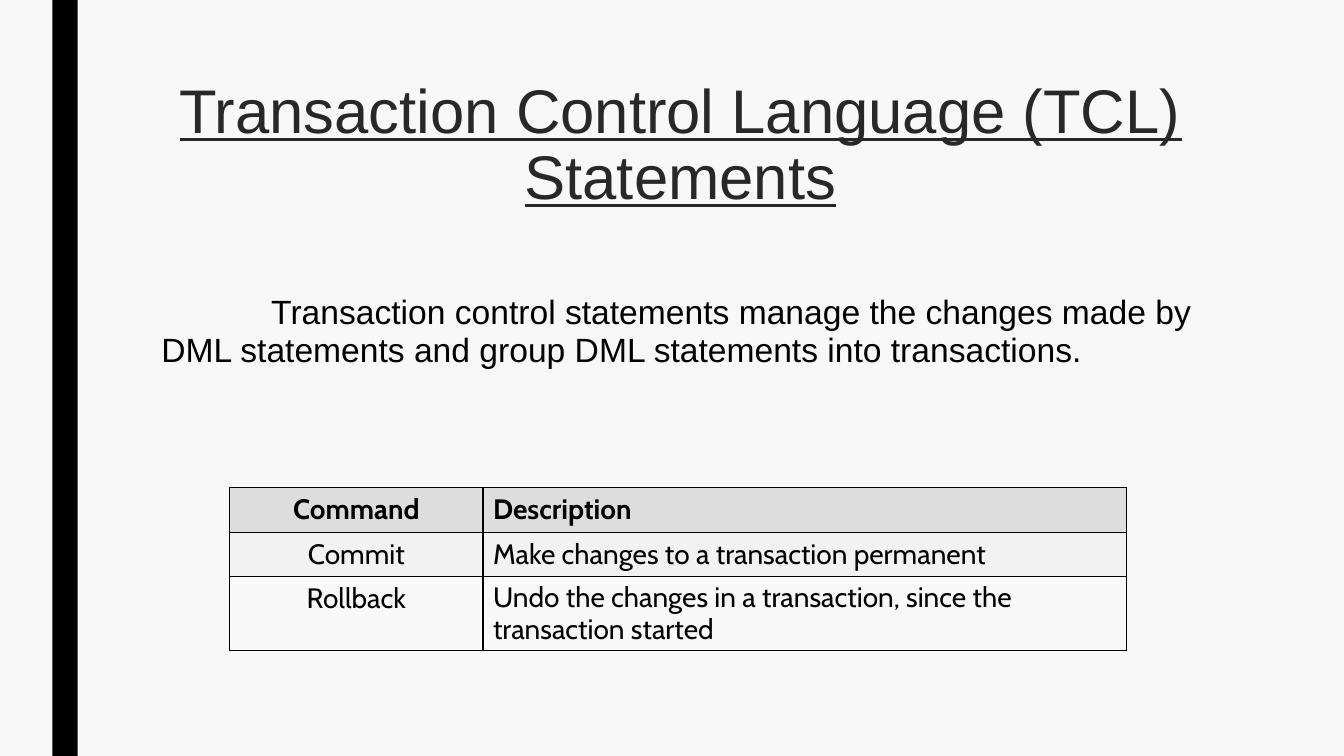
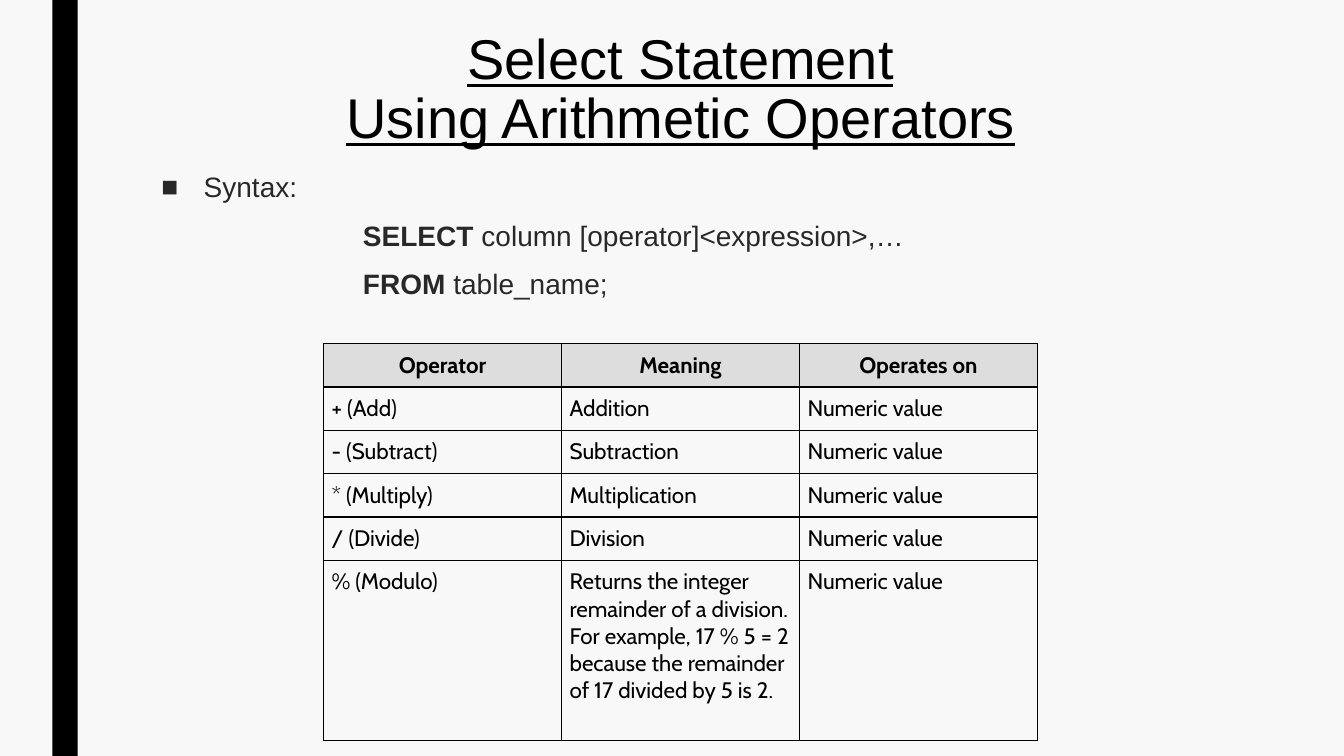
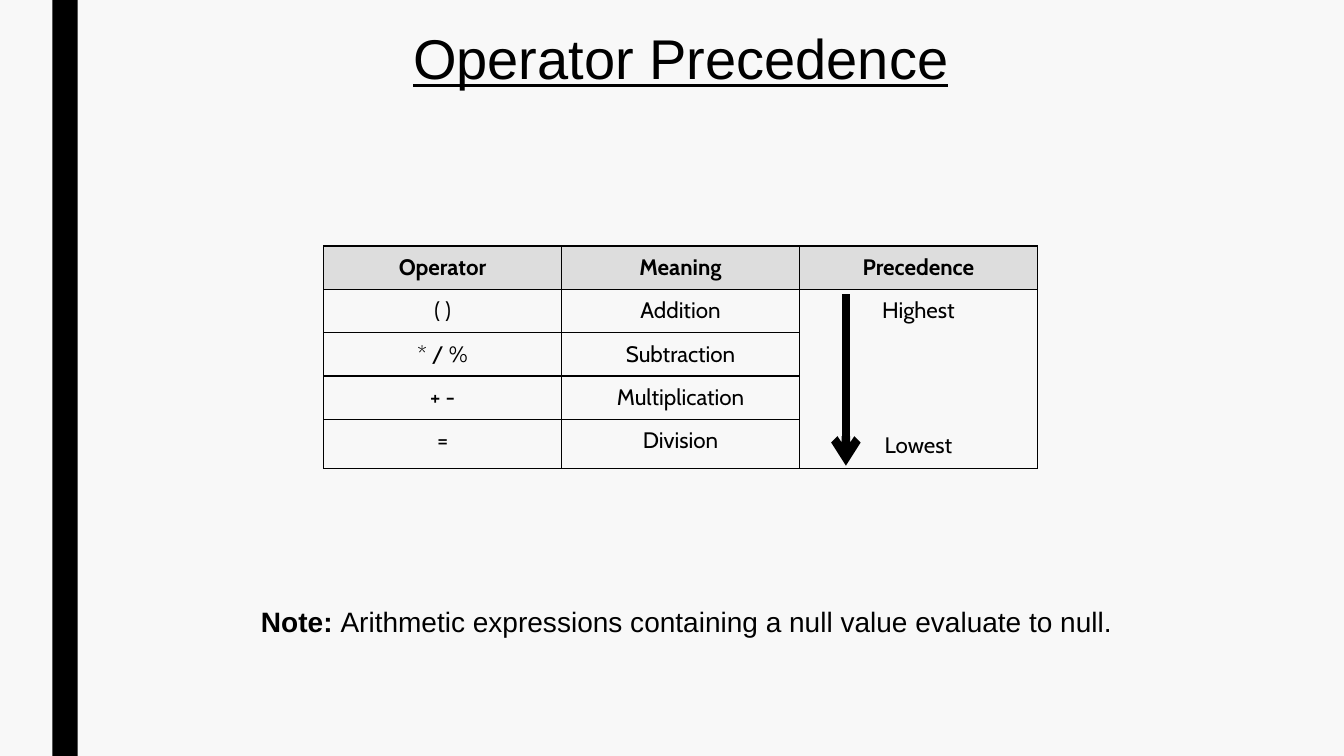
from lxml import etree
from pptx import Presentation
from pptx.dml.color import RGBColor
from pptx.enum.shapes import MSO_CONNECTOR, MSO_SHAPE
from pptx.enum.text import MSO_ANCHOR, MSO_AUTO_SIZE, PP_ALIGN
from pptx.oxml.ns import qn
from pptx.util import Inches, Pt

CENTER, LEFT = PP_ALIGN.CENTER, PP_ALIGN.LEFT
TOP, NO_FIT = MSO_ANCHOR.TOP, MSO_AUTO_SIZE.NONE
RECTANGLE, STRAIGHT = MSO_SHAPE.RECTANGLE, MSO_CONNECTOR.STRAIGHT

PAPER, BLACK, GRAY = "F8F8F8", "000000", "282829"
HEADER_FILL = "DDDDDD"
TEXT_FONT, TABLE_FONT = "Arial", "Cabin"
TITLE_SPACING, BODY_SPACING = 0.89, 0.94
CONTENT_LEFT, CONTENT_WIDTH = 1.5, 10.5
CELL_INSET = 0.08
OPERATOR_LEFT, OPERATOR_COLUMNS, ROW = 3.21, [2.36] * 3, 0.43

COMMANDS = [
    ("Command", "Description"),
    ("Commit", "Make changes to a transaction permanent"),
    ("Rollback", "Undo the changes in a transaction, since the transaction started"),
]
OPERATORS = [
    ("Operator", "Meaning", "Operates on"),
    ("+ (Add)", "Addition", "Numeric value"),
    ("- (Subtract)", "Subtraction", "Numeric value"),
    ("* (Multiply)", "Multiplication", "Numeric value"),
    ("/ (Divide)", "Division", "Numeric value"),
    ("% (Modulo)",
     "Returns the integer remainder of a division. For example, 17 % 5 = 2 "
     "because the remainder of 17 divided by 5 is 2.", "Numeric value"),
]
PRECEDENCE = [
    ("Operator", "Meaning", "Precedence"),
    ("( )", "Addition", "Highest"),
    ("* / %", "Subtraction", ""),
    ("+ -", "Multiplication", ""),
    ("=", "Division", ""),
]
TRANSACTION_TEXT = ("Transaction control statements manage the changes made by DML "
                    "statements and group DML statements into transactions.")
# Each line: spans as (text, bold), left margin, first-line indent, bullet
TRANSACTION_BODY = [([(TRANSACTION_TEXT, False)], 0, 1.09, None)]
SYNTAX_BODY = [
    ([("Syntax:", False)], 0.42, -0.42, "■"),
    ([("SELECT ", True), ("column [operator]<expression>,…", False)], 2, 0, None),
    ([("FROM ", True), ("table_name;", False)], 2, 0, None),
]
NOTE = [("Note: ", True),
        ("Arithmetic expressions containing a null value evaluate to null.", False)]


def rgb(value):
    return RGBColor.from_string(value)


def inches(*lengths):
    return [Inches(length) for length in lengths]


def style_font(font, name, size, color, bold=False):
    font.name, font.size, font.bold = name, Pt(size), bold
    font.color.rgb = rgb(color)


def add_spans(para, spans, name, size, color):
    for text, bold in spans:
        span = para.add_run()
        span.text = text
        style_font(span.font, name, size, color, bold)


def set_spacing(para):
    para.line_spacing = BODY_SPACING
    para.space_before, para.space_after = Pt(10), Pt(2)


def place(shape, left, top, width, height):
    shape.left, shape.top, shape.width, shape.height = inches(left, top, width, height)


def prepare_frame(frame):
    frame.word_wrap, frame.auto_size, frame.vertical_anchor = True, NO_FIT, TOP


def add_slide(deck, layout, title, top=0.26, size=40, color=BLACK):
    page = deck.slides.add_slide(deck.slide_layouts.get_by_name(layout))
    box = page.shapes.title
    place(box, CONTENT_LEFT, top, CONTENT_WIDTH, 1.62)
    prepare_frame(box.text_frame)
    para = box.text_frame.paragraphs[0]
    para.text = title
    para.alignment, para.line_spacing = CENTER, TITLE_SPACING
    for span in para.runs:
        style_font(span.font, TEXT_FONT, size, color)
        span.font.underline = True
    return page


def fill_body(page, lines, top, height, size, color):
    box = page.placeholders[1]
    place(box, CONTENT_LEFT, top, CONTENT_WIDTH, height)
    frame = box.text_frame
    prepare_frame(frame)
    for index, (spans, margin, indent, bullet) in enumerate(lines):
        para = frame.add_paragraph() if index else frame.paragraphs[0]
        add_spans(para, spans, TEXT_FONT, size, color)
        set_spacing(para)
        properties = para._p.get_or_add_pPr()
        properties.set("marL", str(Inches(margin)))
        properties.set("indent", str(Inches(indent)))
        if bullet:
            etree.SubElement(properties, qn("a:buChar")).set("char", bullet)
        else:
            etree.SubElement(properties, qn("a:buNone"))


def add_borders(cell):
    properties = cell._tc.get_or_add_tcPr()
    for index, side in enumerate(("lnL", "lnR", "lnT", "lnB")):
        line = etree.Element(qn("a:" + side), w=str(Pt(1)))
        fill = etree.SubElement(line, qn("a:solidFill"))
        etree.SubElement(fill, qn("a:srgbClr")).set("val", BLACK)
        properties.insert(index, line)


def add_grid(page, rows, left, top, widths, heights, size, alignments, header_alignments,
             fills=(), inset=None):
    """Add a bordered table; fills colours the rows below the header, if given."""
    frame = page.shapes.add_table(len(rows), len(widths),
                                  *inches(left, top, sum(widths), sum(heights)))
    table = frame.table
    table.first_row = table.horz_banding = False
    for column, width in zip(table.columns, widths):
        column.width = Inches(width)
    for row_index, texts in enumerate(rows):
        table.rows[row_index].height = Inches(heights[row_index])
        header = row_index == 0
        for column_index, text in enumerate(texts):
            cell = table.cell(row_index, column_index)
            if header or fills:
                cell.fill.solid()
                cell.fill.fore_color.rgb = rgb(HEADER_FILL if header else fills[row_index - 1])
            else:
                cell.fill.background()
            add_borders(cell)
            if inset is not None:
                cell.margin_left = cell.margin_right = Inches(inset)
                cell.margin_top = cell.margin_bottom = Inches(inset)
            if text:
                para = cell.text_frame.paragraphs[0]
                para.alignment = (header_alignments if header else alignments)[column_index]
                add_spans(para, [(text, header)], TABLE_FONT, size, BLACK)
    return table


def add_operator_grid(page, rows, top, last_height, alignment):
    heights = [ROW] * (len(rows) - 1) + [last_height]
    return add_grid(page, rows, OPERATOR_LEFT, top, OPERATOR_COLUMNS, heights, 16,
                    [alignment] * 3, [CENTER] * 3, inset=CELL_INSET)


def add_down_arrow(page, x, top, bottom):
    arrow = page.shapes.add_connector(STRAIGHT, *inches(x, top, x, bottom))
    arrow.line.color.rgb = rgb(BLACK)
    arrow.line.width = Pt(6)
    etree.SubElement(arrow.line._get_or_add_ln(), qn("a:tailEnd")).set("type", "arrow")
    etree.SubElement(arrow.element.spPr, qn("a:effectLst"))


def style_master(deck, page):
    """Set the shared background and move the black band to the master."""
    master = deck.slide_master
    master.background.fill.solid()
    master.background.fill.fore_color.rgb = rgb(PAPER)
    band = page.shapes.add_shape(RECTANGLE, *inches(0.52, 0, 0.25, 7.5))
    band.shadow.inherit = False
    band.fill.solid()
    band.fill.fore_color.rgb = rgb(BLACK)
    band.line.fill.background()
    master.shapes.element.insert(2, band.element)


def build_transactions(deck):
    page = add_slide(deck, "Title and Content",
                     "Transaction Control Language (TCL)\vStatements", 0.75, 44, GRAY)
    fill_body(page, TRANSACTION_BODY, 2.87, 1.48, 24, BLACK)
    table = add_grid(page, COMMANDS, 2.28, 4.84, [2.51, 6.38], [0.43, 0.43, 0.73], 20,
                     [CENTER, LEFT], [CENTER, LEFT], fills=["F2F2F2", "F9F9F9"])
    set_spacing(table.cell(2, 1).text_frame.paragraphs[0])
    return page


def build_arithmetic(deck):
    page = add_slide(deck, "Title and Content",
                     "Select Statement\vUsing Arithmetic Operators")
    fill_body(page, SYNTAX_BODY, 1.66, 1.53, 20, GRAY)
    add_operator_grid(page, OPERATORS, 3.41, 1.79, LEFT)


def build_precedence(deck):
    page = add_slide(deck, "Title Only", "Operator Precedence")
    table = add_operator_grid(page, PRECEDENCE, 2.44, 0.49, CENTER)
    scale = table.cell(1, 2)
    scale.merge(table.cell(4, 2))
    lowest = scale.text_frame.add_paragraph()
    lowest.alignment, lowest.space_before = CENTER, Pt(77)
    add_spans(lowest, [("Lowest", False)], TABLE_FONT, 16, BLACK)
    add_down_arrow(page, 8.39, 2.92, 4.62)
    note = page.shapes.add_textbox(*inches(2.49, 5.95, 8.75, 0.44))
    note.text_frame.word_wrap = True
    add_spans(note.text_frame.paragraphs[0], NOTE, TEXT_FONT, 20, BLACK)


def main():
    deck = Presentation()
    deck.slide_width, deck.slide_height = inches(13.33, 7.5)
    style_master(deck, build_transactions(deck))
    build_arithmetic(deck)
    build_precedence(deck)
    deck.save("out.pptx")


if __name__ == "__main__":
    main()
